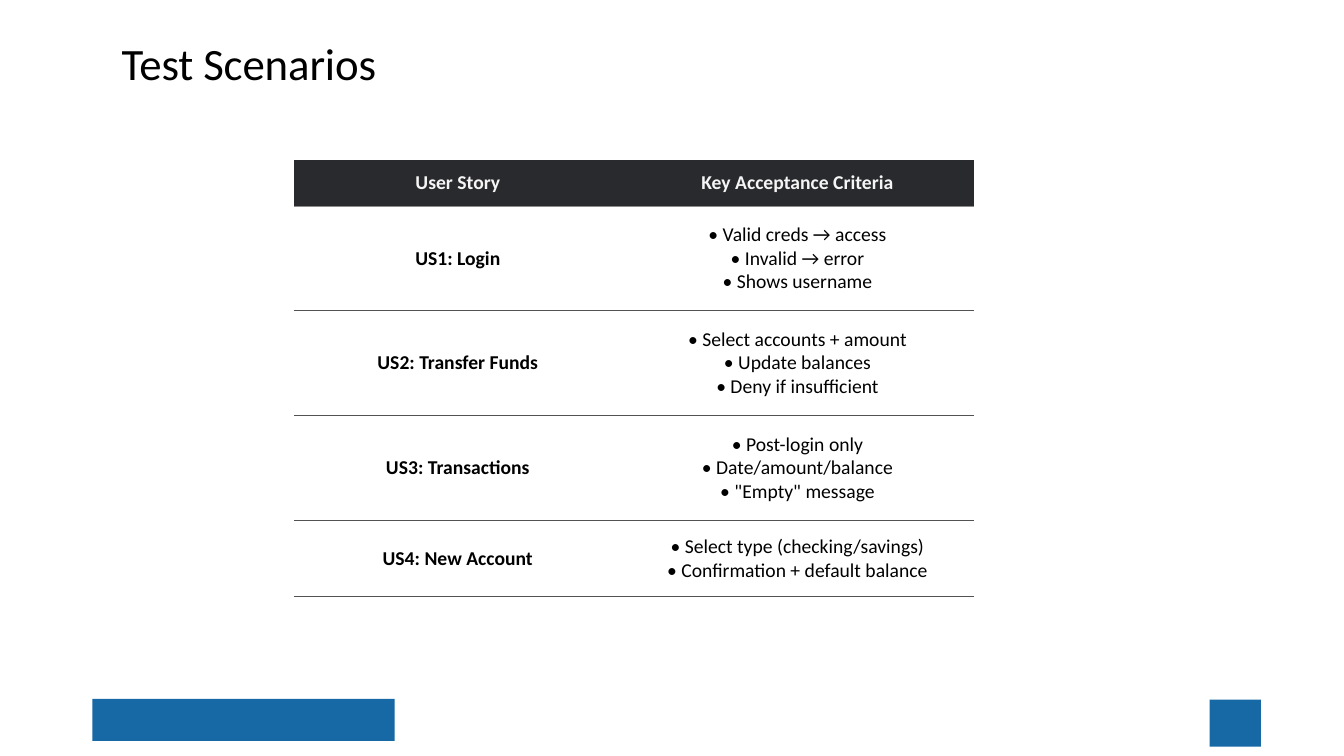
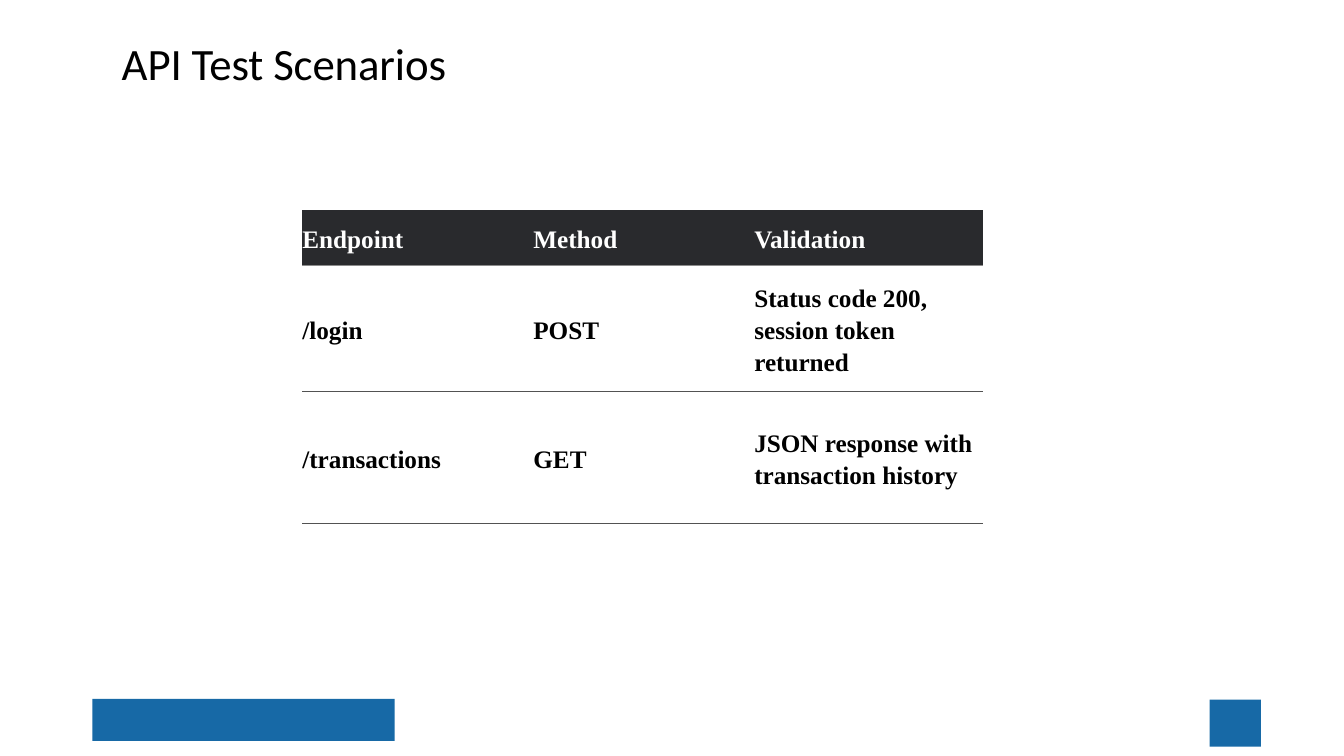
"""Builds two slides of test scenarios, each with a title, a table and a footer."""
from lxml.etree import SubElement
from pptx import Presentation
from pptx.dml.color import RGBColor
from pptx.enum.shapes import MSO_SHAPE as Shape
from pptx.enum.text import MSO_ANCHOR as Anchor, PP_ALIGN as Align
from pptx.oxml.ns import qn
from pptx.util import Inches, Pt

COLUMNS, ROWS = 160, 90


def color(code):
    return RGBColor.from_string(code)


def write_text(frame, text, font="Calibri", size=14, ink="000000", bold=False,
               align=Align.LEFT, spacing=None, before=0, after=0, tracking=0):
    frame.word_wrap = True
    para = frame.paragraphs[0]
    para.alignment = align
    para.line_spacing = spacing
    para.space_before, para.space_after = Pt(before), Pt(after)
    for index, line in enumerate(text.split("\n")):
        if index:
            para.add_line_break()
        span = para.add_run()
        span.text = line
        span.font.name, span.font.size, span.font.bold = font, Pt(size), bold
        span.font.color.rgb = color(ink)
        if tracking:
            span.font._element.set("spc", str(int(tracking * 100)))


def set_borders(cell, top, bottom):
    properties = cell._tc.get_or_add_tcPr()
    for side, code in (("L", None), ("R", None), ("T", top), ("B", bottom)):
        line = SubElement(properties, qn(f"a:ln{side}"), w=str(Pt(0.48)))
        if code:
            fill = SubElement(line, qn("a:solidFill"))
            SubElement(fill, qn("a:srgbClr"), val=code)
        else:
            SubElement(line, qn("a:noFill"))


def set_margins(target, left, top, right, bottom):
    target.margin_left, target.margin_top = Inches(left), Inches(top)
    target.margin_right, target.margin_bottom = Inches(right), Inches(bottom)


class ScenarioDeck:
    accent = "1769A6"
    header = "292A2D"
    header_rule = "8B8B8B"
    body_rule = "525252"

    def __init__(self):
        self.deck = Presentation()
        self.deck.slide_width, self.deck.slide_height = Inches(13.33), Inches(7.5)
        self.page = None

    def across(self, columns):
        return round(self.deck.slide_width * columns / COLUMNS)

    def down(self, rows):
        return round(self.deck.slide_height * rows / ROWS)

    def area(self, left, top, width, height):
        return self.across(left), self.down(top), self.across(width), self.down(height)

    def add_page(self, title):
        self.page = self.deck.slides.add_slide(self.deck.slide_layouts[6])
        self.add_band(11, 83.2, 36, 5)
        self.add_band(144, 83.3, 6.1, 5.6)
        self.add_title(title)

    def add_band(self, *place):
        band = self.page.shapes.add_shape(Shape.RECTANGLE, *self.area(*place))
        band.shadow.inherit = False
        band.fill.solid()
        band.fill.fore_color.rgb = color(self.accent)
        band.line.fill.background()

    def add_title(self, text):
        box = self.page.shapes.add_textbox(*self.area(14.5, 1.1, 131.4, 9.6))
        set_margins(box.text_frame, 0, 0.26, 0, 0)
        write_text(box.text_frame, text, size=32, before=1.1, tracking=-0.1)

    def add_table(self, left, top, widths, heights, content, margin, first_margin,
                  header_ink, bold_columns, **style):
        place = self.area(left, top, sum(widths), sum(heights))
        table = self.page.shapes.add_table(len(heights), len(widths), *place).table
        table.first_row = table.horz_banding = False
        for column, width in zip(table.columns, widths):
            column.width = self.across(width)
        for row, height in zip(table.rows, heights):
            row.height = self.down(height)
        for row, texts in enumerate(content):
            is_header = row == 0
            above = (None, self.header_rule)[row] if row < 2 else self.body_rule
            below = self.header_rule if is_header else self.body_rule
            for column, text in enumerate(texts):
                cell = table.cell(row, column)
                cell.vertical_anchor = Anchor.MIDDLE
                set_margins(cell, margin if column else first_margin,
                            margin, margin, margin)
                set_borders(cell, above, below)
                if is_header:
                    cell.fill.solid()
                    cell.fill.fore_color.rgb = color(self.header)
                else:
                    cell.fill.background()
                write_text(cell.text_frame, text,
                           ink=header_ink if is_header else "000000",
                           bold=is_header or column < bold_columns, **style)


def main():
    scenarios = ScenarioDeck()

    scenarios.add_page("Test Scenarios")
    scenarios.add_table(
        35, 19, [38.9, 42.1], [5.5, 12.5, 12.5, 12.5, 9],
        [("User Story", "Key Acceptance Criteria"),
         ("US1: Login",
          "• Valid creds → access\n• Invalid → error\n• Shows username"),
         ("US2: Transfer Funds",
          "• Select accounts + amount\n• Update balances\n• Deny if insufficient"),
         ("US3: Transactions",
          "• Post-login only\n• Date/amount/balance\n• \"Empty\" message"),
         ("US4: New Account",
          "• Select type (checking/savings)\n• Confirmation + default balance")],
        margin=0.04, first_margin=0.05, header_ink="F5F5F5", bold_columns=1,
        align=Align.CENTER)

    scenarios.add_page("API Test Scenarios")
    scenarios.add_table(
        36, 25, [26.3, 26.3, 28.4], [6.6, 15, 15.7],
        [("Endpoint", "Method", "Validation"),
         ("/login", "POST", "Status code 200, session token returned"),
         ("/transactions", "GET", "JSON response with transaction history")],
        margin=0.1, first_margin=0, header_ink="FFFFFF", bold_columns=3,
        font="Times New Roman", size=18, spacing=1.15, after=8)

    scenarios.deck.save("out.pptx")


if __name__ == "__main__":
    main()
